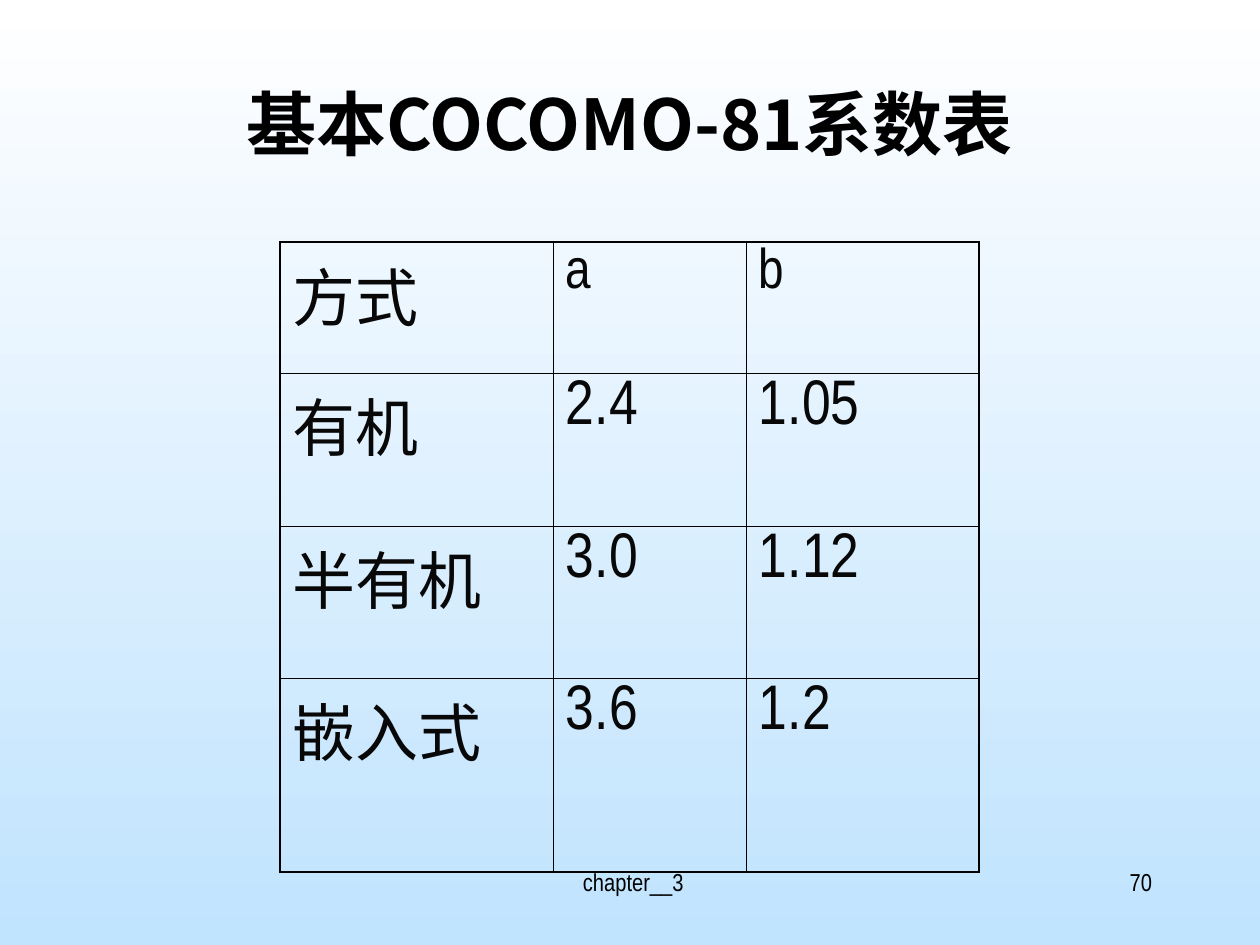
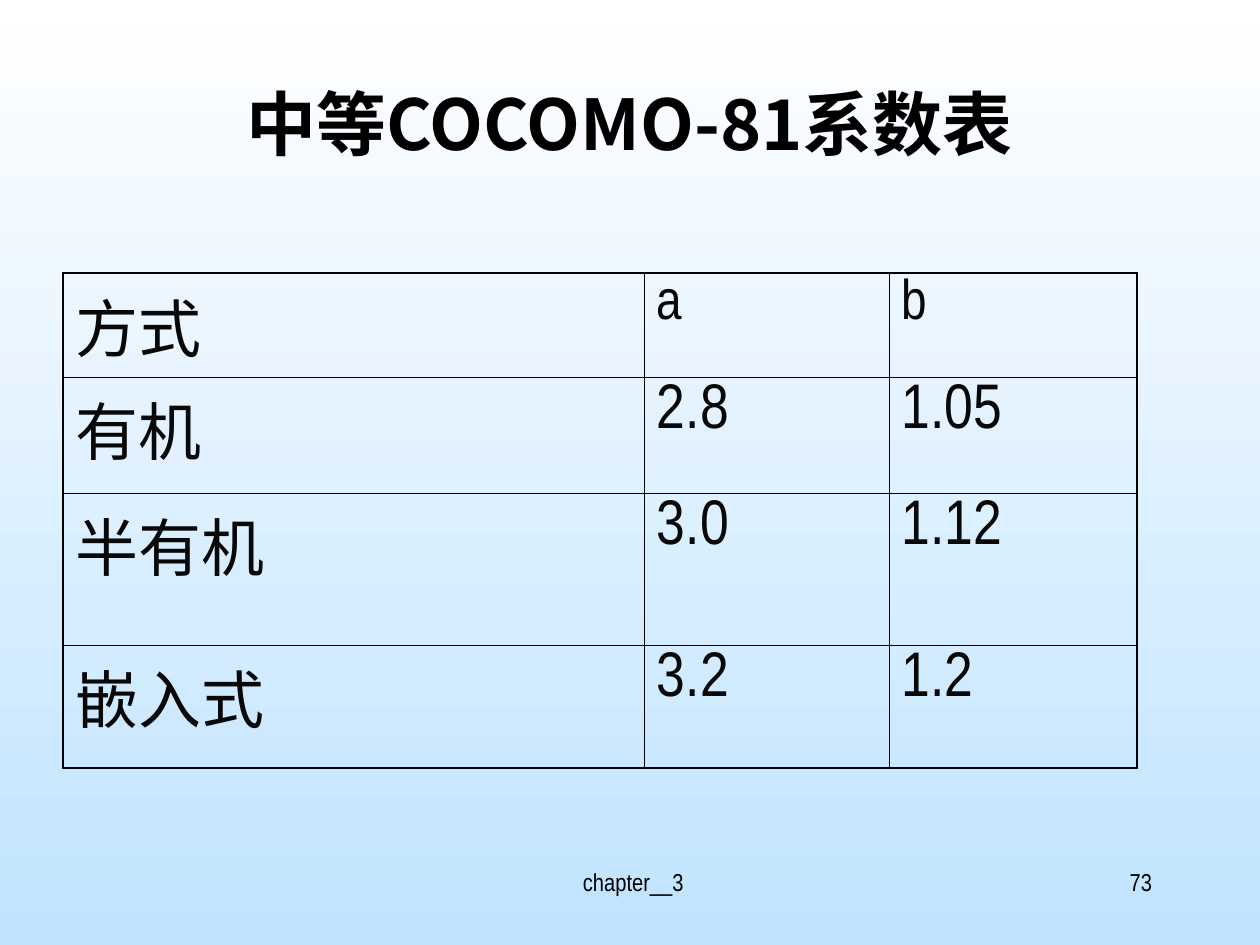
from pptx import Presentation
from pptx.dml.color import RGBColor
from pptx.enum.text import PP_ALIGN
from pptx.oxml import parse_xml
from pptx.oxml.ns import nsdecls
from pptx.util import Emu, Pt

SCALE = 914400 // 126  # EMU per px
SLIDE_SIZE = (1260, 945)
LATIN, CJK = "Arial Narrow", "Noto Sans CJK SC"
BLACK, CELL_TEXT = "000000", "080808"
BG_TOP, BG_BOTTOM = "FFFFFF", "C0E3FE"
OUTER, INNER = 1.08, 0.45  # border widths in points
INSETS = (13, 6)

TITLE_BOX = (94, 84, 1071, 158)
FOOTER_BOX = (431, 861, 399, 63)
NUMBER_BOX = (903, 861, 262, 63)
FOOTER = " chapter__3"

SLIDES = [
    {
        "title": "基本COCOMO-81系数表",
        "number": "70",
        "origin": (280, 242),
        "cols": (273, 193, 233),
        "rows": (131, 153, 152, 194),
        "cells": [
            ("方式", "a", "b"),
            ("有机", "2.4", "1.05"),
            ("半有机", "3.0", "1.12"),
            ("嵌入式", "3.6", "1.2"),
        ],
    },
    {
        "title": "中等COCOMO-81系数表",
        "number": "73",
        "origin": (63, 273),
        "cols": (581, 245, 248),
        "rows": (104, 116, 152, 123),
        "cells": [
            ("方式", "a", "b"),
            ("有机", "2.8", "1.05"),
            ("半有机", "3.0", "1.12"),
            ("嵌入式", "3.2", "1.2"),
        ],
    },
]


def px(n):
    return Emu(n * SCALE)


def color(value):
    return RGBColor.from_string(value)


def style(p, size, font=LATIN, fill=BLACK, bold=False):
    for r in p.runs:
        r.font.size, r.font.name, r.font.bold = Pt(size), font, bold
        r.font.color.rgb = color(fill)
        r.font._element.append(
            parse_xml(f'<a:ea {nsdecls("a")} typeface="{CJK}"/>'))


def add_text(s, box, text, size, align, **look):
    tf = s.shapes.add_textbox(*map(px, box)).text_frame
    tf.word_wrap = True
    tf.margin_left = tf.margin_right = px(INSETS[0])
    tf.margin_top = tf.margin_bottom = px(INSETS[1])
    tf.text = text
    p = tf.paragraphs[0]
    p.alignment = align
    style(p, size, **look)
    return p


def set_borders(cell, widths):
    """Draw the left, right, top and bottom borders, in that order."""
    tc_pr = cell._tc.get_or_add_tcPr()
    for i, (side, width) in enumerate(zip("LRTB", widths)):
        tc_pr.insert(i, parse_xml(
            f'<a:ln{side} {nsdecls("a")} w="{Pt(width)}"><a:solidFill>'
            f'<a:srgbClr val="{BLACK}"/></a:solidFill></a:ln{side}>'))


def add_coefficients(s, origin, cols, rows, cells):
    box = (*origin, sum(cols), sum(rows))
    table = s.shapes.add_table(len(rows), len(cols), *map(px, box)).table
    table.first_row = table.horz_banding = False
    for col, width in zip(table.columns, cols):
        col.width = px(width)
    for row, height in zip(table.rows, rows):
        row.height = px(height)
    last_row, last_col = len(rows) - 1, len(cols) - 1
    for i, texts in enumerate(cells):
        for j, text in enumerate(texts):
            cell = table.cell(i, j)
            cell.text = text
            cell.margin_left = cell.margin_right = px(INSETS[0])
            cell.margin_top = cell.margin_bottom = px(INSETS[1])
            cell.fill.background()
            edges = (j == 0, j == last_col, i == 0, i == last_row)
            set_borders(cell, [OUTER if edge else INNER for edge in edges])
            size = 32 if i == 0 and j > 0 else 36
            style(cell.text_frame.paragraphs[0], size, fill=CELL_TEXT)


def set_background(s):
    fill = s.background.fill
    fill.gradient()
    fill.gradient_angle = 270
    for stop, value in zip(fill.gradient_stops, (BG_TOP, BG_BOTTOM)):
        stop.color.rgb = color(value)


def add_slide(prs, content):
    s = prs.slides.add_slide(prs.slide_layouts[6])
    set_background(s)
    add_text(s, FOOTER_BOX, FOOTER, 14, PP_ALIGN.CENTER)
    add_text(s, NUMBER_BOX, content["number"], 14, PP_ALIGN.RIGHT)
    title = add_text(s, TITLE_BOX, content["title"], 40, PP_ALIGN.CENTER,
                     font=CJK, bold=True)
    title.line_spacing = 0.9
    add_coefficients(s, content["origin"], content["cols"],
                     content["rows"], content["cells"])


def main():
    prs = Presentation()
    prs.slide_width, prs.slide_height = map(px, SLIDE_SIZE)
    for content in SLIDES:
        add_slide(prs, content)
    prs.save("out.pptx")


if __name__ == "__main__":
    main()
